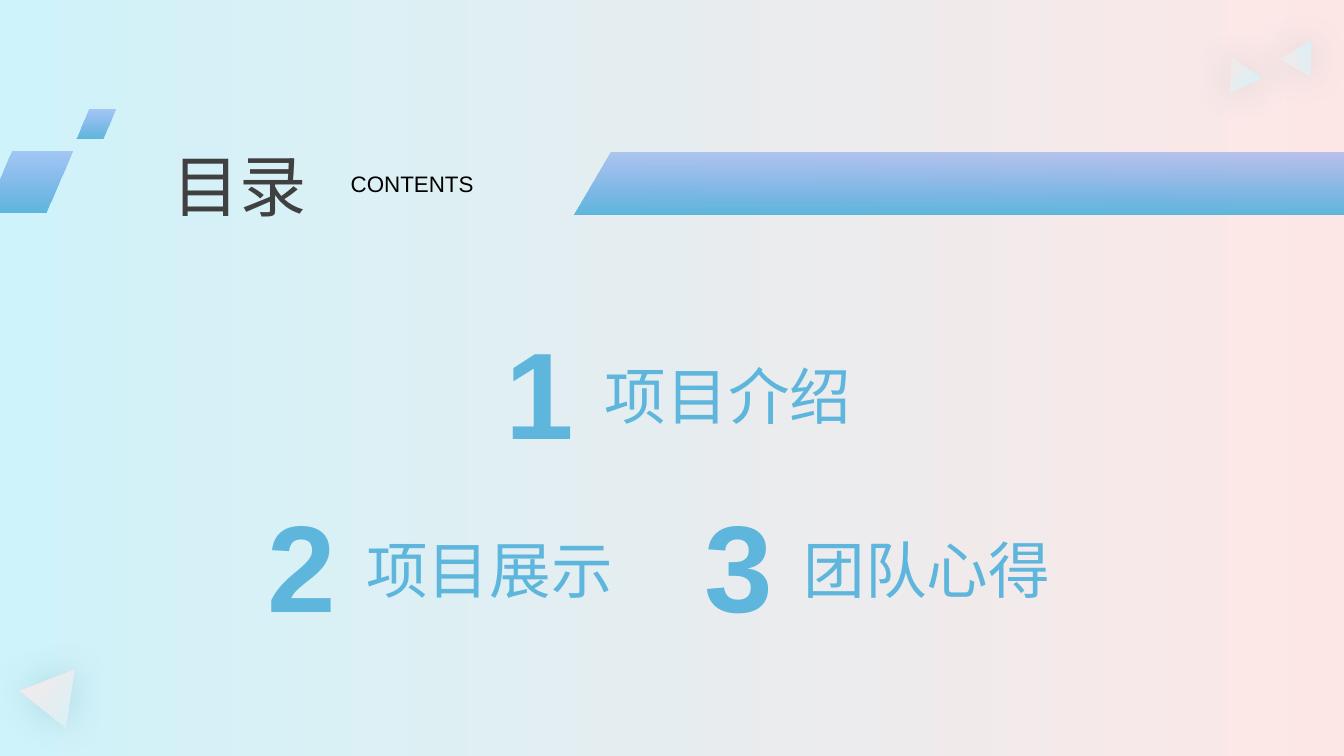
from lxml import etree
from pptx import Presentation
from pptx.dml.color import RGBColor
from pptx.enum import shapes, text
from pptx.oxml.ns import qn
from pptx.util import Pt

COLORS = {
    "mint": "CFF3FA",
    "blush": "FDE7E6",
    "sky": "5EB6DD",
    "periwinkle": "759EEF",
    "shadow": "1B6382",
    "title": "404040",
    "black": "000000",
}
FONT = "Arial"
WIDTH, HEIGHT = 960, 540


class ContentsSlide:
    def __init__(self, deck):
        self.slide = deck.slides.add_slide(deck.slide_layouts[6])
        self.shapes = self.slide.shapes

    def gradient(self, fill, start, end, angle=0):
        """Blend two named colours; the angle runs counter-clockwise."""
        fill.gradient()
        fill.gradient_angle = angle
        for stop, name in zip(fill.gradient_stops, (start, end)):
            stop.color.rgb = RGBColor.from_string(COLORS[name])

    def background(self, start, end):
        self.gradient(self.slide.background.fill, start, end)

    def banner_style(self, shape):
        """Sky at the bottom fading to half-transparent periwinkle."""
        shape.shadow.inherit = False
        shape.line.fill.background()
        self.gradient(shape.fill, "sky", "periwinkle", 90)
        top_color = shape._element.spPr.findall(".//" + qn("a:srgbClr"))[-1]
        etree.SubElement(top_color, qn("a:alpha"), val="50000")

    def outline(self, points):
        corners = [(Pt(x), Pt(y)) for x, y in points]
        builder = self.shapes.build_freeform(*corners[0], scale=1)
        builder.add_line_segments(corners[1:], close=True)
        self.banner_style(builder.convert_to_shape())

    def parallelogram(self, x, y, width, height, slant):
        shape = self.shapes.add_shape(
            shapes.MSO_SHAPE.PARALLELOGRAM, Pt(x), Pt(y), Pt(width), Pt(height))
        shape.adjustments[0] = slant
        self.banner_style(shape)

    def triangle(self, x, y, width, height, rotation, flipped):
        shape = self.shapes.add_shape(
            shapes.MSO_SHAPE.ISOSCELES_TRIANGLE, Pt(x), Pt(y), Pt(width), Pt(height))
        shape.rotation = rotation
        if flipped:
            shape._element.spPr.find(qn("a:xfrm")).set("flipV", "1")
        shape.line.fill.background()
        self.gradient(shape.fill, "blush", "mint")
        shape.shadow.inherit = False
        effects = shape._element.spPr.find(qn("a:effectLst"))
        glow = etree.SubElement(effects, qn("a:outerShdw"), blurRad=str(Pt(27)),
                                dist="0", dir="0", algn="ctr", rotWithShape="0")
        color = etree.SubElement(glow, qn("a:srgbClr"), val=COLORS["shadow"])
        etree.SubElement(color, qn("a:alpha"), val="20000")

    def label(self, words, x, y, width, height, size, color,
              bold=False, anchor=text.MSO_ANCHOR.TOP):
        frame = self.shapes.add_textbox(
            Pt(x), Pt(y), Pt(width), Pt(height)).text_frame
        frame.word_wrap = True
        frame.vertical_anchor = anchor
        paragraph = frame.paragraphs[0]
        paragraph.text = words
        font = paragraph.font
        font.name, font.size, font.bold = FONT, Pt(size), bold
        font.color.rgb = RGBColor.from_string(COLORS[color])

    def chapter(self, number, name, x, y):
        self.label(str(number), x, y, 70.6, 113.8, 88, "sky", bold=True)
        self.label(name, x + 70.8, y + 24.2, 210.2, 65.5, 44, "sky",
                   anchor=text.MSO_ANCHOR.BOTTOM)


def main():
    deck = Presentation()
    deck.slide_width, deck.slide_height = Pt(WIDTH), Pt(HEIGHT)
    contents = ContentsSlide(deck)
    contents.background("mint", "blush")

    contents.triangle(20.9, 474.5, 41.8, 36, 38.6, flipped=False)
    contents.triangle(871.9, 46.8, 25.2, 21.6, 33.6, flipped=True)
    contents.triangle(918, 34.6, 25.2, 21.6, 330.2, flipped=True)

    chapters = [("项目介绍", 354.2, 222.5),
                ("项目展示", 183.8, 346.3),
                ("团队心得", 496.1, 346.3)]
    for number, (name, x, y) in enumerate(chapters, 1):
        contents.chapter(number, name, x, y)

    contents.outline([(436.3, 109), (WIDTH, 109), (WIDTH, 153.4), (409.7, 153.4)])
    contents.outline([(8.6, 108), (52, 108), (33.1, 152), (0, 152), (0, 128.9)])
    contents.parallelogram(54.9, 78.1, 27.4, 21.2, slant=0.41)

    contents.label("CONTENTS", 243.4, 105.1, 133.2, 38.9, 16, "black",
                   anchor=text.MSO_ANCHOR.BOTTOM)
    contents.label("目录", 115.9, 99.4, 168.5, 65.5, 48, "title")
    deck.save("out.pptx")


if __name__ == "__main__":
    main()
